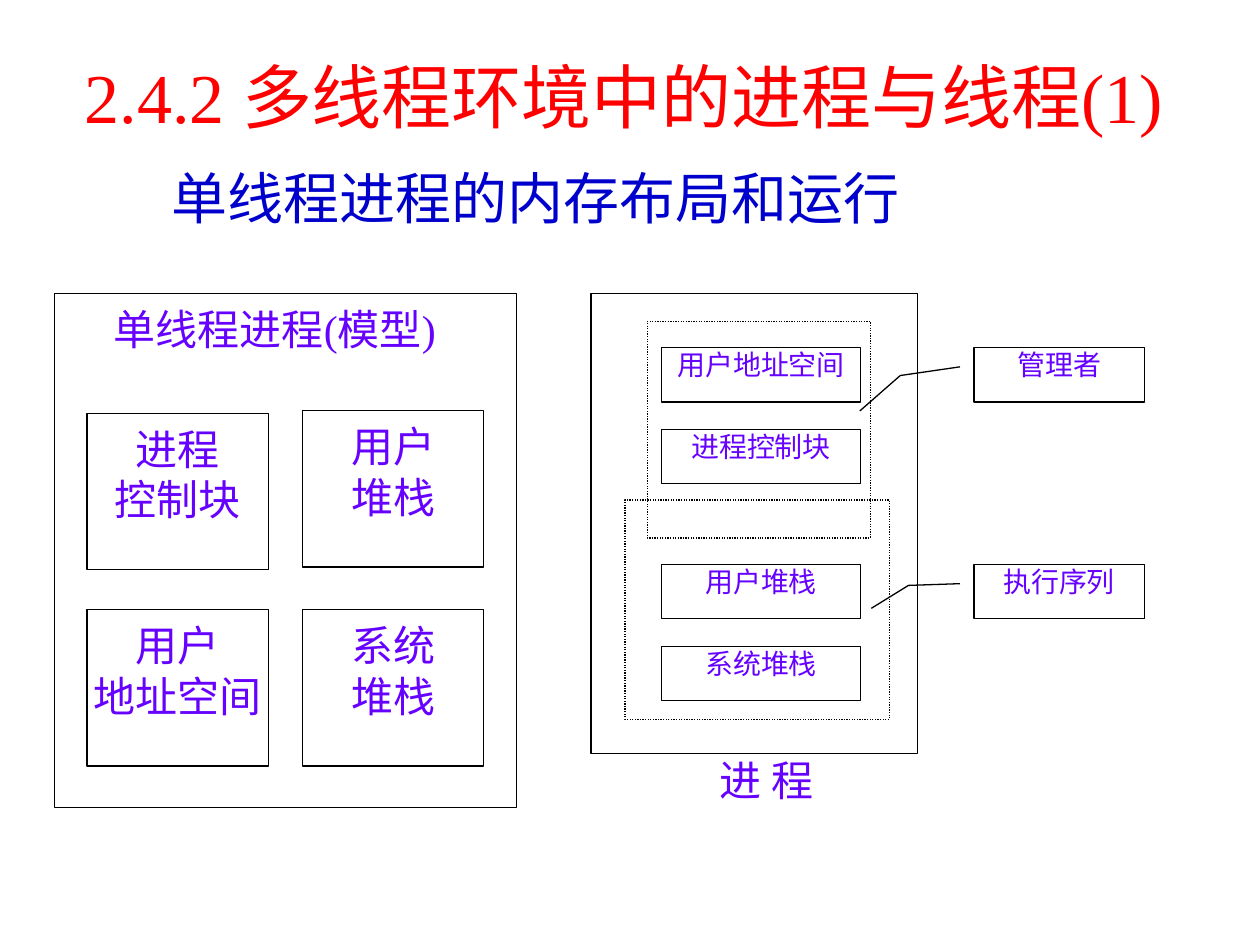
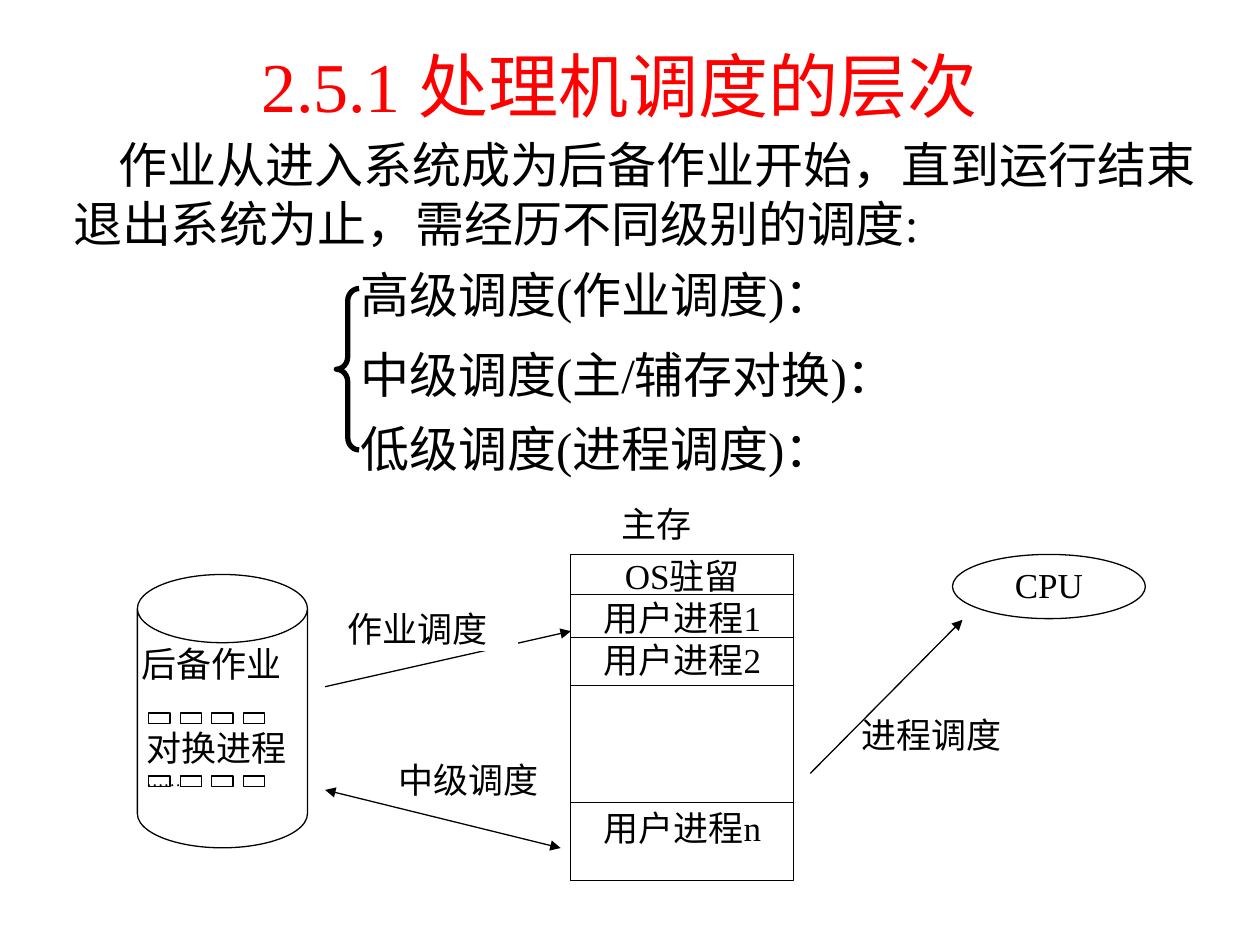
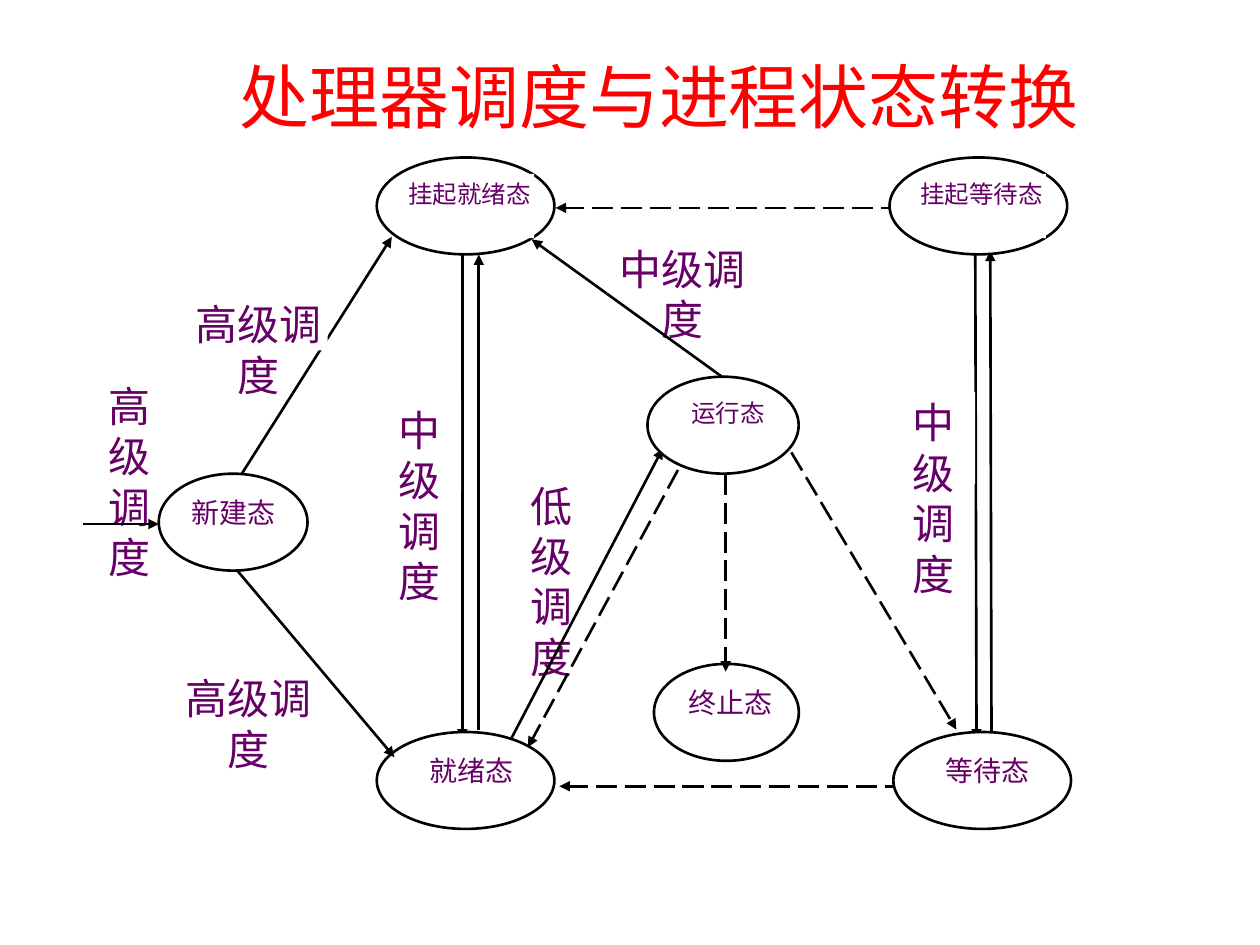
from dataclasses import dataclass
from typing import Optional, Sequence

from lxml import etree
from pptx import Presentation
from pptx.dml.color import RGBColor
from pptx.enum.dml import MSO_LINE
from pptx.enum.shapes import MSO_CONNECTOR, MSO_SHAPE
from pptx.enum.text import MSO_ANCHOR, MSO_AUTO_SIZE, PP_ALIGN
from pptx.oxml.ns import qn
from pptx.util import Pt

RECTANGLE, ELLIPSE, CAN = MSO_SHAPE.RECTANGLE, MSO_SHAPE.OVAL, MSO_SHAPE.CAN
BRACE, CALLOUT = MSO_SHAPE.LEFT_BRACE, MSO_SHAPE.LINE_CALLOUT_2
STRAIGHT = MSO_CONNECTOR.STRAIGHT
DOTTED, DASHED = MSO_LINE.ROUND_DOT, MSO_LINE.LONG_DASH
LEFT, CENTER = PP_ALIGN.LEFT, PP_ALIGN.CENTER

RED, BLUE, VIOLET, PURPLE = "FF0000", "0000CC", "6600FF", "660066"
BLACK, WHITE = "000000", "FFFFFF"
SERIF, SANS, SANS_JP = "Times New Roman", "Noto Sans CJK SC", "Noto Sans CJK JP"
TITLE_ONLY = 5
NO_INSETS = (0, 0, 0, 0)


@dataclass(frozen=True)
class Area:
    left: float
    top: float
    width: float
    height: float

    def lengths(self) -> tuple:
        return Pt(self.left), Pt(self.top), Pt(self.width), Pt(self.height)


@dataclass(frozen=True)
class Line:
    text: str
    size: Optional[float] = None
    margin: float = 0
    first: float = 0
    before: float = 0


@dataclass(frozen=True)
class Link:
    start: tuple
    end: tuple
    dash: Optional[MSO_LINE] = None
    head: bool = False
    tail: bool = True


@dataclass(frozen=True)
class State:
    text: str
    left: float
    top: float
    width: float
    label_left: float
    label_width: float
    size: float = 16


def rgb(value: str) -> RGBColor:
    return RGBColor.from_string(value)


def write(box, lines: Sequence, *, size: float, color: str, font: str = SANS,
          align=CENTER, insets: tuple = NO_INSETS) -> None:
    frame = box.text_frame
    frame.word_wrap = True
    frame.auto_size = MSO_AUTO_SIZE.NONE
    frame.vertical_anchor = MSO_ANCHOR.TOP
    (frame.margin_left, frame.margin_top,
     frame.margin_right, frame.margin_bottom) = (Pt(inset) for inset in insets)
    for index, item in enumerate(lines):
        line = Line(item) if isinstance(item, str) else item
        para = frame.add_paragraph() if index else frame.paragraphs[0]
        para.alignment = align
        para.space_before = Pt(line.before)
        properties = para._p.get_or_add_pPr()
        properties.set("marL", str(Pt(line.margin)))
        properties.set("indent", str(Pt(line.first)))
        span = para.add_run()
        span.text = line.text
        span.font.size = Pt(line.size or size)
        span.font.bold = False
        span.font.name = font
        span.font.color.rgb = rgb(color)
        east_asian = etree.Element(qn("a:ea"))
        east_asian.set("typeface", SANS if font == SERIF else font)
        span._r.rPr.find(qn("a:latin")).addnext(east_asian)


def add_box(page, area: Area, *, kind=RECTANGLE, fill: Optional[str] = WHITE,
            line: Optional[str] = BLACK, width: float = 0.75, dash=None,
            adjustments: Sequence[float] = ()):
    box = page.shapes.add_shape(kind, *area.lengths())
    box.shadow.inherit = False
    for index, value in enumerate(adjustments):
        box.adjustments[index] = value
    if fill:
        box.fill.solid()
        box.fill.fore_color.rgb = rgb(fill)
    else:
        box.fill.background()
    if line:
        box.line.color.rgb = rgb(line)
        box.line.width = Pt(width)
        if dash:
            box.line.dash_style = dash
    else:
        box.line.fill.background()
    return box


def add_text(page, area: Area, lines: Sequence, **text_format) -> None:
    write(page.shapes.add_textbox(*area.lengths()), lines, **text_format)


def add_link(page, link: Link, width: float) -> None:
    connector = page.shapes.add_connector(
        STRAIGHT, *(Pt(value) for value in link.start + link.end))
    connector.line.color.rgb = rgb(BLACK)
    connector.line.width = Pt(width)
    if link.dash:
        connector.line.dash_style = link.dash
    outline = connector.line._get_or_add_ln()
    for name, shown in (("a:headEnd", link.head), ("a:tailEnd", link.tail)):
        if shown:
            etree.SubElement(outline, qn(name)).set("type", "triangle")
    etree.SubElement(connector._element.spPr, qn("a:effectLst"))


def add_page(deck, title: str, area: Area):
    page = deck.slides.add_slide(deck.slide_layouts[TITLE_ONLY])
    box = page.shapes.title
    box.left, box.top, box.width, box.height = area.lengths()
    write(box, [title], size=40, color=RED, font=SERIF, insets=(7.2, 4.5, 7.2, 3.6))
    return page


def build_memory_layout(deck) -> None:
    page = add_page(deck, "2.4.2 多线程环境中的进程与线程(1)", Area(14.4, 26, 684, 48))
    add_text(page, Area(54, 90, 606, 38), [Line("单线程进程的内存布局和运行", margin=37)],
             size=32, color=BLUE, font=SANS_JP, align=LEFT, insets=(7.2, 3.6, 7.2, 3.6))

    add_box(page, Area(337.7, 167.8, 186.5, 262.8), fill=None)
    add_text(page, Area(357, 431.3, 162, 31), ["进 程"], size=24, color=VIOLET,
             insets=(7.2, 0, 7.2, 0))
    parts = {"用户地址空间": 198.7, "进程控制块": 245.5, "用户堆栈": 322.6, "系统堆栈": 369.4}
    for text, top in parts.items():
        write(add_box(page, Area(378, top, 113.8, 31)), [text], size=16, color=VIOLET)
    callouts = (
        ("管理者", 198.7, (0.353, -0.083, 0.513, -0.434, 1.167, -0.672)),
        ("执行序列", 322.6, (0.353, -0.083, 0.385, -0.386, 0.808, -0.604)),
    )
    for text, top, pointer in callouts:
        box = add_box(page, Area(556.6, top, 97.2, 31), kind=CALLOUT, adjustments=pointer)
        write(box, [text], size=16, color=VIOLET, insets=(7.2, 0, 7.2, 0))
    for area in (Area(370, 183.6, 127.4, 123.8), Area(357.1, 285.8, 151.2, 125.3)):
        add_box(page, area, fill=None, dash=DOTTED)

    model = add_box(page, Area(31, 167.8, 264.2, 293.8))
    write(model, [Line("单线程进程(模型)", margin=27)], size=24, color=VIOLET, font=SERIF,
          align=LEFT, insets=(7.2, 5.8, 7.2, 3.6))
    blocks = (
        (("用户", "地址空间"), 49.7, 348.5),
        (("进程", "控制块"), 49.7, 236.2),
        (("用户", "堆栈"), 172.8, 234.7),
        (("系统", "堆栈"), 172.8, 348.5),
    )
    for lines, left, top in blocks:
        write(add_box(page, Area(left, top, 103.7, 89.3)), lines, size=24, color=VIOLET,
              insets=(0, 5.8, 0, 0))


def build_scheduling_levels(deck) -> None:
    page = add_page(deck, "2.5.1 处理机调度的层次", Area(48, 20, 612, 48))
    intro = "作业从进入系统成为后备作业开始，直到运行结束退出系统为止，需经历不同级别的调度:"
    add_text(page, Area(41.8, 77, 652.3, 67), [Line(intro, first=26)],
             size=28, color=BLACK, font=SERIF, align=LEFT)
    levels = {"高级调度(作业调度)：": 151.2, "中级调度(主/辅存对换)：": 196.6,
              "低级调度(进程调度)：": 239}
    for text, top in levels.items():
        add_text(page, Area(206, top, 352.8, 33.8), [text],
                 size=28, color=BLACK, font=SERIF, align=LEFT)
    add_box(page, Area(192.2, 164.9, 13, 92.2), kind=BRACE, fill=None, width=3,
            adjustments=(0.542, 0.5))

    disk = add_box(page, Area(78.5, 328.3, 97.2, 156.2), kind=CAN, adjustments=(0.401,))
    write(disk, [Line("后备作业", margin=2.5), Line("对换进程", margin=5, before=24),
                 Line("……", size=10, margin=5)],
          size=20, color=BLACK, font=SERIF, align=LEFT)
    memory = Area(326.2, 316.8, 127.4, 186.5)
    write(add_box(page, memory),
          ["OS驻留", "用户进程1", "用户进程2", Line("用户进程n", before=72)],
          size=20, color=BLACK, font=SERIF)
    for top in (339.8, 364.3, 391.7, 458.6):
        add_link(page, Link((memory.left, top), (memory.left + memory.width, top), tail=False), 0.75)
    write(add_box(page, Area(544.3, 316.8, 110.2, 36.7), kind=ELLIPSE), ["CPU"],
          size=20, color=BLACK, font=SERIF)

    links = (
        Link((185.8, 392.4), (326.2, 360.7)),
        Link((185.8, 451.4), (320.4, 484.6), head=True),
        Link((463, 442), (550, 354.2)),
    )
    for link in links:
        add_link(page, link, 0.75)
    labels = (
        ("主存", Area(355, 287.3, 60.5, 24.5)),
        ("作业调度", Area(198.7, 347, 97.2, 24.5)),
        ("中级调度", Area(227.5, 433.4, 91.4, 21.6)),
    )
    for text, area in labels:
        write(add_box(page, area, line=WHITE), [text],
              size=20, color=BLACK, font=SERIF, align=LEFT)
    add_text(page, Area(492.5, 407.5, 96.5, 23.8), ["进程调度"],
             size=20, color=BLACK, font=SERIF, align=LEFT)
    for top in (407.5, 443.5):
        for column in range(4):
            add_box(page, Area(85 + 18 * column, top, 12.2, 5.8), fill=None)


def add_state_label(page, text: str, area: Area, size: float = 24) -> None:
    write(add_box(page, area, line=None), [text], size=size, color=PURPLE,
          insets=(0, 2.9, 0, 2.9))


def build_state_changes(deck) -> None:
    page = add_page(deck, "处理器调度与进程状态转换", Area(70.6, 26, 612, 48))
    high, middle, low = "高级调度", "中级调度", "低级调度"
    back_labels = (
        (high, Area(52.6, 214.6, 43.2, 55.4)),
        (middle, Area(354.2, 136.1, 72, 32.4)),
        (low, Area(293.8, 271.4, 43.2, 46)),
    )
    front_labels = (
        (high, Area(102.2, 381.6, 79.2, 32.4)),
        (high, Area(108, 167.8, 79.2, 32.4)),
        (middle, Area(216, 228.2, 47.5, 52.6)),
        (middle, Area(509.8, 223.9, 47.5, 52.6)),
    )
    back_links = (
        Link((515.5, 118.8), (317.5, 118.8), DASHED),
        Link((264.2, 422.6), (264.2, 128.9), head=True, tail=False),
        Link((273.6, 416.9), (273.6, 145.4)),
        Link((284.4, 437), (378.7, 256.3)),
        Link((387.4, 268.6), (301.7, 427), DASHED),
        Link((452.2, 258.5), (546.5, 416.9), DASHED),
        Link((517.7, 449.3), (319.7, 449.3), DASHED),
        Link((558, 422.6), (557.3, 141.1), head=True, tail=False),
        Link((566.6, 424.8), (565.9, 143.3)),
    )
    front_links = (
        Link((135.7, 326.2), (225.4, 432.7)),
        Link((414.7, 270.7), (414.7, 383.8), DASHED),
        Link((412.6, 215.3), (303.8, 136.8)),
        Link((47.5, 299.5), (90.7, 299.5)),
        Link((138.2, 270.7), (223.9, 135.4)),
    )
    states = (
        State("运行态", 370, 215.3, 86.4, 390.2, 51.8, 14),
        State("就绪态", 215.3, 418.3, 101.5, 239, 61.2),
        State("终止态", 373.7, 379.4, 82.8, 392.4, 49.7),
        State("新建态", 90.7, 270.7, 85, 103, 60.5),
        State("挂起就绪态", 215.3, 90, 101.5, 231.8, 73.4, 14),
        State("挂起等待态", 508.3, 90, 101.5, 524.2, 73.4, 14),
        State("等待态", 510.5, 418.3, 101.5, 533.5, 61.2),
    )
    for text, area in back_labels:
        add_state_label(page, text, area)
    for link in back_links:
        add_link(page, link, 1.5)
    for state in states:
        add_box(page, Area(state.left, state.top, state.width, 55.4), kind=ELLIPSE, width=1.5)
        add_state_label(page, state.text,
                        Area(state.label_left, state.top + 9.4, state.label_width, 36.7),
                        state.size)
    for link in front_links:
        add_link(page, link, 1.5)
    for text, area in front_labels:
        add_state_label(page, text, area)


def main() -> None:
    deck = Presentation()
    deck.slide_width, deck.slide_height = Pt(720), Pt(540)
    build_memory_layout(deck)
    build_scheduling_levels(deck)
    build_state_changes(deck)
    deck.save("out.pptx")


main()
